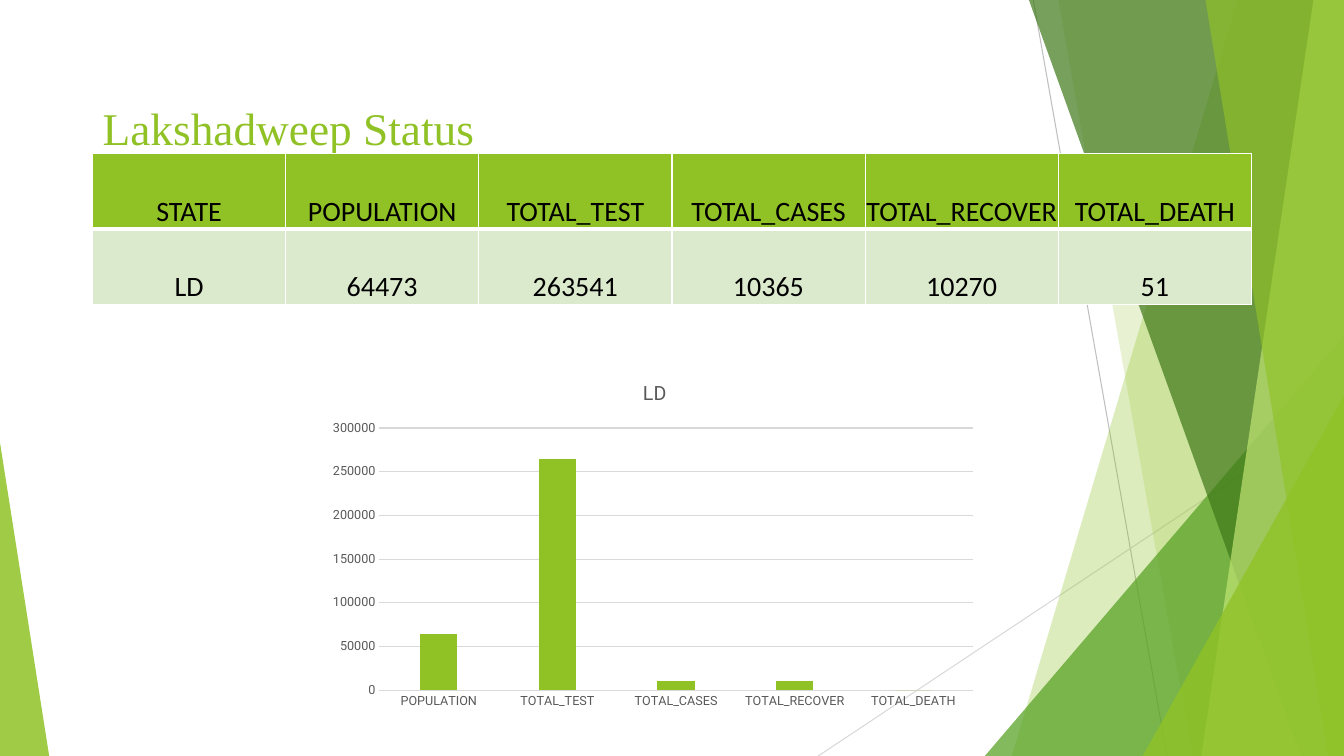
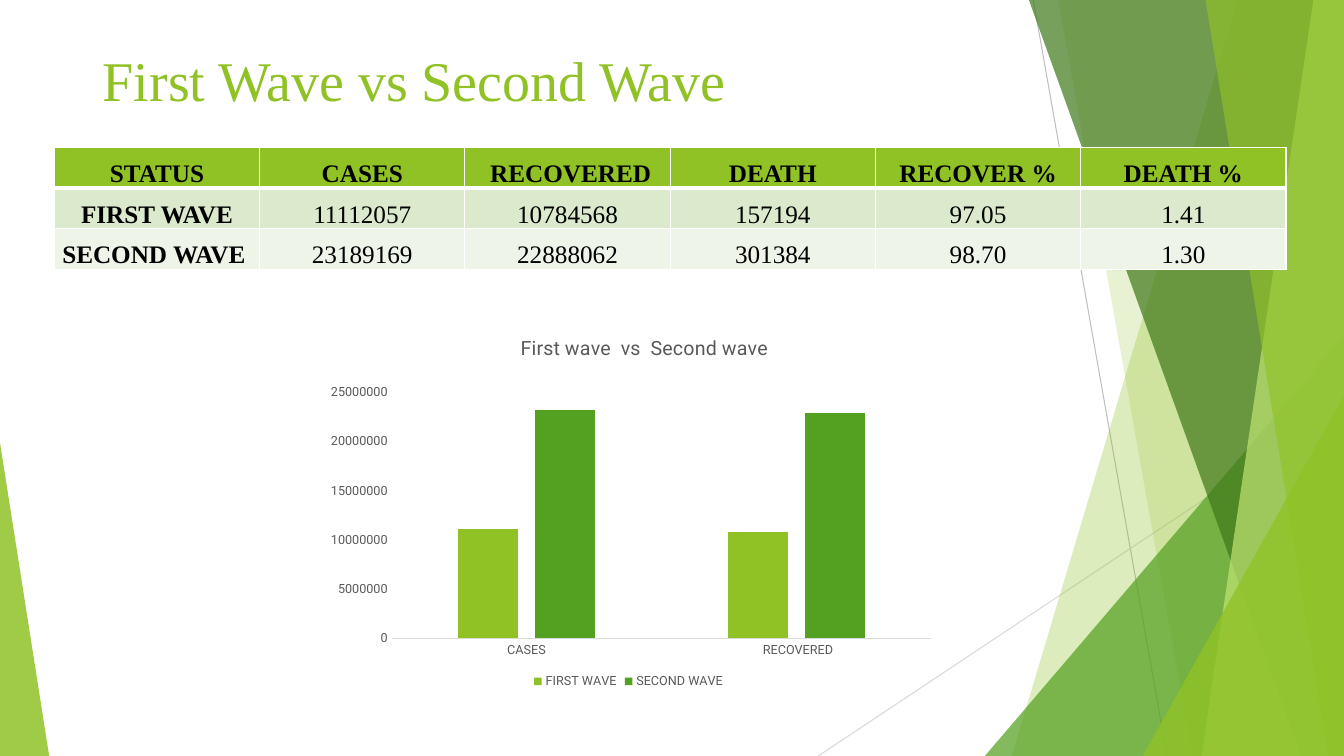
from lxml.etree import SubElement
from pptx import Presentation
from pptx.chart.data import CategoryChartData
from pptx.dml.color import RGBColor
from pptx.enum.chart import XL_CHART_TYPE as ChartType
from pptx.enum.chart import XL_LEGEND_POSITION as LegendPosition
from pptx.enum.chart import XL_TICK_MARK as TickMark
from pptx.enum.shapes import MSO_CONNECTOR as Connector
from pptx.enum.shapes import MSO_SHAPE as Shape
from pptx.enum.text import MSO_ANCHOR as Anchor
from pptx.enum.text import PP_ALIGN as Align
from pptx.oxml.ns import qn
from pptx.oxml.xmlchemy import OxmlElement
from pptx.util import Cm, Pt

WIDTH, HEIGHT = 33.87, 19.05
LIME, GREEN, FOREST, PALE = "90C226", "54A021", "3F7819", "C0E474"
ROW_TINTS = ["DBE9CD", "EEF4E8"]
BLACK, WHITE, GREY, RULE = "000000", "FFFFFF", "595959", "D9D9D9"
SERIF, SANS, CHART_FONT = "Times New Roman", "Calibri", "Roboto"

RAYS = [(26.04, 0, 29.41, HEIGHT, "BFBFBF"), (WIDTH, 10.24, 20.62, HEIGHT, RULE)]
FACETS = [
    ("band", (31.19, 25.5), LIME, 30),
    ("band", (26.67, 30.05), LIME, 20),
    ("triangle", (24.82, 8.46, 9.05, 1), GREEN, 72),
    ("band", (25.93, 32.79), FOREST, 70),
    ("band", (33.1, 30.28), PALE, 70),
    ("band", (30.38, 33.48), LIME, 65),
    ("triangle", (28.8, 9.98, 5.07, 1), LIME, 80),
    ("triangle", (0, 11.15, 1.24, 0), LIME, 85),
]

LAKSHADWEEP = [
    ["STATE", "POPULATION", "TOTAL_TEST", "TOTAL_CASES", "TOTAL_RECOVER", "TOTAL_DEATH"],
    ["LD", "64473", "263541", "10365", "10270", "51"],
]
WAVES = [
    ["STATUS", "CASES", " RECOVERED", "DEATH", "RECOVER %", "DEATH %"],
    ["FIRST WAVE", "11112057", "10784568", "157194", "97.05", "1.41"],
    ["SECOND WAVE ", "23189169", "22888062", "301384", "98.70", "1.30"],
]


def paint(fill, color, alpha=None):
    """Give a fill a solid hex colour and an optional opacity in percent."""
    fill.solid()
    fill.fore_color.rgb = RGBColor.from_string(color)
    if alpha is not None:
        solid = fill._xPr.find(qn("a:solidFill"))
        SubElement(solid[0], qn("a:alpha"), val=str(alpha * 1000))


def style(font, size, color, name, bold=False):
    """Set size, colour, face and weight of a font."""
    font.size, font.name, font.bold = Pt(size), name, bold
    paint(font.fill, color)


def write(frame, text, size=9, color=GREY, name=CHART_FONT, bold=False, align=None):
    """Put one formatted paragraph into a text frame."""
    paragraph = frame.paragraphs[0]
    paragraph.alignment = align
    run = paragraph.add_run()
    run.text = text
    style(run.font, size, color, name, bold)


def draw_band(slide, top_left, bottom_left):
    """Draw a facet running from its slanted left side to the slide's right edge."""
    builder = slide.shapes.build_freeform(Cm(top_left), 0)
    corners = [(WIDTH, 0), (WIDTH, HEIGHT), (bottom_left, HEIGHT)]
    builder.add_line_segments([(Cm(x), Cm(y)) for x, y in corners])
    return builder.convert_to_shape()


def draw_triangle(slide, left, top, width, apex):
    """Draw a facet standing on the slide's bottom edge."""
    box = Cm(left), Cm(top), Cm(width), Cm(HEIGHT - top)
    facet = slide.shapes.add_shape(Shape.ISOSCELES_TRIANGLE, *box)
    facet.adjustments[0] = apex
    return facet


def draw_backdrop(slide):
    """Draw the rays and translucent facets shared by all slides."""
    for x1, y1, x2, y2, color in RAYS:
        ray = slide.shapes.add_connector(Connector.STRAIGHT, Cm(x1), Cm(y1), Cm(x2), Cm(y2))
        paint(ray.line.fill, color)
        ray.line.width = Pt(0.75)
        SubElement(ray._element.spPr, qn("a:effectLst"))
    draw = {"band": draw_band, "triangle": draw_triangle}
    for kind, geometry, color, alpha in FACETS:
        facet = draw[kind](slide, *geometry)
        facet.shadow.inherit = False
        paint(facet.fill, color, alpha)
        facet.line.fill.background()


def draw_title(slide, box, text, size, drop):
    """Place the slide title, dropped from the top of its box."""
    frame = slide.shapes.add_textbox(*map(Cm, box)).text_frame
    frame.word_wrap = True
    frame.vertical_anchor = Anchor.TOP
    frame.margin_top = Cm(drop)
    write(frame, text, size, LIME, SERIF)


def draw_borders(cell, **widths):
    """Give a cell white borders, with widths in points by side."""
    properties = cell._tc.get_or_add_tcPr()
    for index, side in enumerate("LRTB"):
        border = OxmlElement(f"a:ln{side}")
        border.set("w", str(Pt(widths.get(side, 1))))
        SubElement(SubElement(border, qn("a:solidFill")), qn("a:srgbClr"), val=WHITE)
        properties.insert(index, border)


def draw_table(slide, box, rows, size, name, bold_heads=False):
    """Draw a table with a lime header and tinted rows."""
    grid = slide.shapes.add_table(len(rows), len(rows[0]), *map(Cm, box)).table
    for column in grid.columns:
        column.width = Cm(box[2] / len(rows[0]))
    for r, row in enumerate(rows):
        grid.rows[r].height = Cm(box[3] / len(rows))
        for c, text in enumerate(row):
            cell = grid.cell(r, c)
            cell.margin_left = cell.margin_right = cell.margin_top = Cm(0.02)
            cell.margin_bottom = 0
            cell.vertical_anchor = Anchor.BOTTOM
            paint(cell.fill, LIME if r == 0 else ROW_TINTS[(r - 1) % 2])
            draw_borders(cell, T=3 if r == 1 else 1, B=3 if r == 0 else 1)
            bold = bold_heads and 0 in (r, c)
            write(cell.text_frame, text, size, BLACK, name, bold, Align.CENTER)


def set_layout(parent, index, **fractions):
    """Fix the place of a chart part as fractions of the chart."""
    for old in parent.findall(qn("c:layout")):
        parent.remove(old)
    layout = OxmlElement("c:layout")
    manual = SubElement(layout, qn("c:manualLayout"))
    if "w" in fractions:
        SubElement(manual, qn("c:layoutTarget"), val="inner")
    for mode in ("xMode", "yMode"):
        SubElement(manual, qn(f"c:{mode}"), val="edge")
    for key, value in fractions.items():
        SubElement(manual, qn(f"c:{key}"), val=str(value))
    parent.insert(index, layout)


def format_axes(chart, top, step, gridlines):
    """Format the category axis and the value axis."""
    values, categories = chart.value_axis, chart.category_axis
    for axis in (values, categories):
        axis.major_tick_mark = axis.minor_tick_mark = TickMark.NONE
        style(axis.tick_labels.font, 9, GREY, CHART_FONT)
    values.minimum_scale, values.maximum_scale, values.major_unit = 0, top, step
    values.tick_labels.number_format = "General"
    values.tick_labels.number_format_is_linked = False
    values.format.line.fill.background()
    values.has_major_gridlines = gridlines
    lines = [categories.format.line]
    if gridlines:
        lines.append(values.major_gridlines.format.line)
    for line in lines:
        paint(line.fill, RULE)
        line.width = Pt(0.75)


def draw_chart(slide, box, rows, title, title_at, plot_at, top, step, zeros, legend=False):
    """Draw clustered columns, one series a row, rounded to end in some zeros."""
    data = CategoryChartData()
    data.categories = rows[0][1:]
    for name, *values in rows[1:]:
        data.add_series(name, [round(int(value), -zeros) for value in values])
    chart = slide.shapes.add_chart(ChartType.COLUMN_CLUSTERED, *map(Cm, box), data).chart
    style(chart.font, 10, BLACK, CHART_FONT)
    backdrop = OxmlElement("c:spPr")
    SubElement(backdrop, qn("a:noFill"))
    SubElement(SubElement(backdrop, qn("a:ln")), qn("a:noFill"))
    chart.element.find(qn("c:chart")).addnext(backdrop)

    chart.has_title = True
    write(chart.chart_title.text_frame, title, 14)
    chart.chart_title.include_in_layout = False
    set_layout(chart.element.find(".//" + qn("c:title")), 1, **title_at)
    set_layout(chart.element.find(".//" + qn("c:plotArea")), 0, **plot_at)
    format_axes(chart, top, step, gridlines=not legend)

    columns = chart.plots[0]
    columns.gap_width, columns.overlap = 219, -27
    columns.vary_by_categories = False
    for series, color in zip(columns.series, (LIME, GREEN)):
        paint(series.format.fill, color)
    chart.has_legend = legend
    if legend:
        chart.legend.position = LegendPosition.BOTTOM
        chart.legend.include_in_layout = False
        style(chart.legend.font, 9, GREY, CHART_FONT)


def build_lakshadweep(slide):
    """Build the slide on the status of Lakshadweep."""
    draw_backdrop(slide)
    draw_title(slide, (2.34, 1.02, 29.21, 3.05), "Lakshadweep Status", 32.4, 1.5)
    draw_table(slide, (2.33, 3.86, 29.21, 3.81), LAKSHADWEEP, 20, SANS)
    draw_chart(slide, (8.05, 9.2, 16.8, 8.81), LAKSHADWEEP, "LD",
               dict(x=0.48, y=0.03), dict(x=0.09, y=0.18, w=0.89, h=0.75),
               300000, 50000, zeros=3)


def build_waves(slide):
    """Build the slide comparing the two waves."""
    draw_backdrop(slide)
    draw_title(slide, (2.34, 1.02, 29.21, 2.69), "First Wave vs Second Wave", 40, 0.12)
    draw_table(slide, (1.37, 3.71, 31.04, 3.08), WAVES, 18, SERIF, bold_heads=True)
    draw_chart(slide, (7.97, 8.34, 15.82, 9.12), [row[:3] for row in WAVES],
               "First wave  vs  Second wave",
               dict(x=0.32, y=0), dict(x=0.12, y=0.17, w=0.86, h=0.68),
               25000000, 5000000, zeros=5, legend=True)


def main():
    """Build the presentation and save it."""
    deck = Presentation()
    deck.slide_width, deck.slide_height = Cm(WIDTH), Cm(HEIGHT)
    for build in (build_lakshadweep, build_waves):
        build(deck.slides.add_slide(deck.slide_layouts[6]))
    deck.save("out.pptx")


if __name__ == "__main__":
    main()
